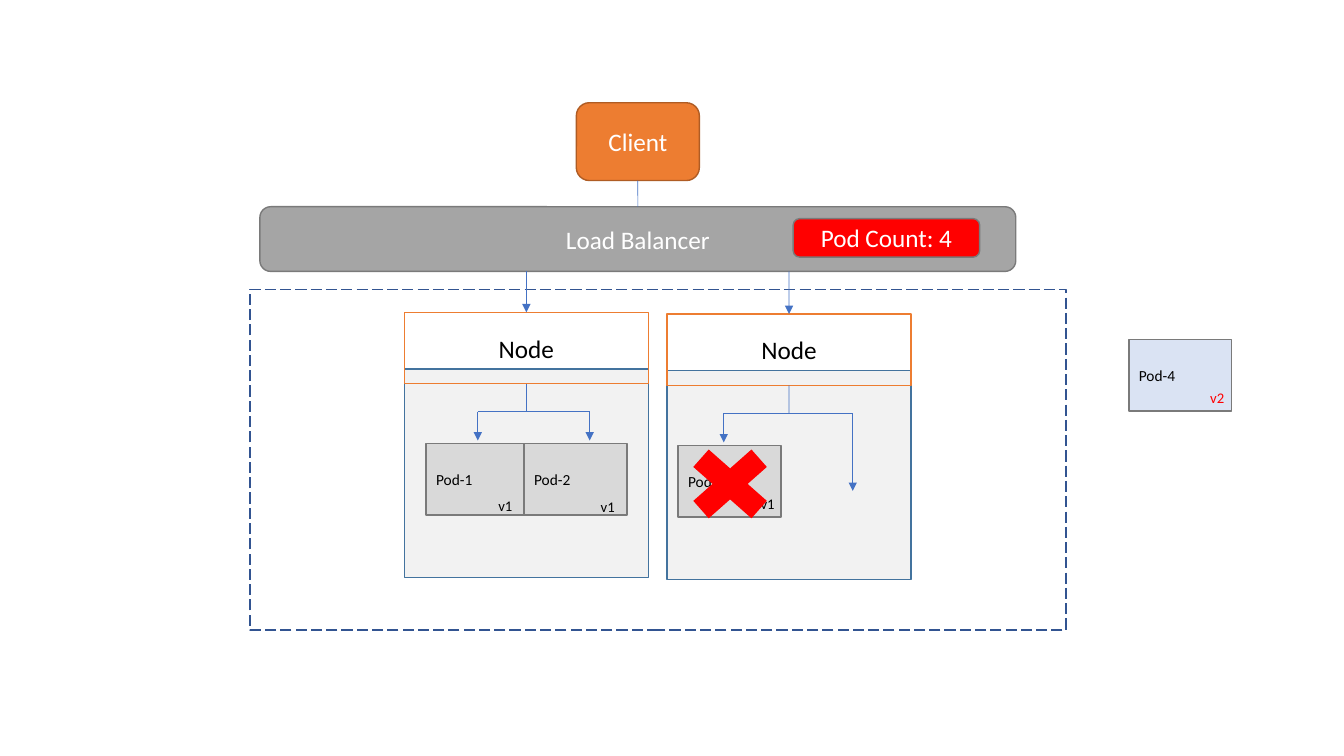
from lxml.etree import SubElement
from pptx import Presentation
from pptx.dml.color import RGBColor
from pptx.enum.dml import MSO_LINE
from pptx.enum.shapes import MSO_CONNECTOR, MSO_SHAPE as SHAPE
from pptx.enum.text import MSO_ANCHOR, PP_ALIGN as ALIGN
from pptx.oxml.ns import qn
from pptx.util import Cm, Pt

WHITE = RGBColor(0xFF, 0xFF, 0xFF)
BLACK = RGBColor(0, 0, 0)
RED = RGBColor(0xFF, 0, 0)
ORANGE = RGBColor(0xED, 0x7D, 0x31)
DARK_ORANGE = RGBColor(0xAF, 0x5C, 0x24)
GRAY = RGBColor(0xA5, 0xA5, 0xA5)
DARK_GRAY = RGBColor(0x7A, 0x7A, 0x7A)
POD_GRAY = RGBColor(0xD9, 0xD9, 0xD9)
NODE_GRAY = RGBColor(0xF2, 0xF2, 0xF2)
NODE_BLUE = RGBColor(0x43, 0x73, 0x9E)
CLUSTER_BLUE = RGBColor(0x32, 0x54, 0x91)
ARROW_BLUE = RGBColor(0x44, 0x72, 0xC4)
PALE_BLUE = RGBColor(0xDA, 0xE3, 0xF3)

CLIENT = "Client"
BALANCER = "Load Balancer"
POD_COUNT = "Pod Count: 4"
NODES = [
    {"name": "Node", "at": (10.19, 7.87), "drops": [(12.04, 11.10), (14.86, 11.10)]},
    {"name": "Node", "at": (16.81, 7.91), "drops": [(18.24, 11.15), (21.49, 12.37)]},
]
PODS = [
    ("Pod-1", (10.74, 11.18), POD_GRAY, "v1", (1.57, 1.22), BLACK),
    ("Pod-2", (13.21, 11.18), POD_GRAY, "v1", (1.68, 1.24), BLACK),
    ("Pod-3", (17.09, 11.23), POD_GRAY, "v1", (1.83, 1.12), BLACK),
    ("Pod-4", (28.45, 8.56), PALE_BLUE, "v2", (1.80, 1.12), RED),
]

BAR_LEFT, BAR_TOP, BAR_WIDTH, BAR_HEIGHT = 6.55, 5.21, 19.05, 1.63
CLIENT_WIDTH, CLIENT_HEIGHT, CLIENT_TOP = 3.10, 1.96, 2.59
NODE_WIDTH, HEADER_HEIGHT = 6.15, 1.80
BODY_OFFSET, BODY_HEIGHT, BUS_OFFSET = 1.43, 5.26, 2.50
POD_WIDTH, POD_HEIGHT = 2.59, 1.80

deck = Presentation()
deck.slide_width, deck.slide_height = Cm(33.87), Cm(19.05)
page = deck.slides.add_slide(deck.slide_layouts[6])


def write(box, text, size, color, align):
    box.text_frame.word_wrap = True
    para = box.text_frame.paragraphs[0]
    para.text = text
    para.alignment = align
    span = para.runs[0]
    span.font.name = "Calibri"
    span.font.size = Pt(size)
    span.font.color.rgb = color


def add_box(kind, left, top, width, height, fill=None, line=None,
            text="", size=18, color=WHITE, align=ALIGN.CENTER):
    box = page.shapes.add_shape(kind, Cm(left), Cm(top), Cm(width), Cm(height))
    box.shadow.inherit = False
    if fill is None:
        box.fill.background()
    else:
        box.fill.solid()
        box.fill.fore_color.rgb = fill
    if line is None:
        box.line.fill.background()
    else:
        box.line.color.rgb = line
        box.line.width = Pt(1)
    if text:
        box.text_frame.vertical_anchor = MSO_ANCHOR.MIDDLE
        write(box, text, size, color, align)
    return box


def add_line(start, end, arrow=False, begin_box=None, end_box=None):
    line = page.shapes.add_connector(
        MSO_CONNECTOR.STRAIGHT, *(Cm(value) for value in (*start, *end)))
    if begin_box is not None:
        line.begin_connect(begin_box, 2)
    if end_box is not None:
        line.end_connect(end_box, 0)
    line.line.color.rgb = ARROW_BLUE
    line.line.width = Pt(0.5)
    if arrow:
        SubElement(line.line._get_or_add_ln(), qn("a:tailEnd"), type="triangle")
    SubElement(line._element.spPr, qn("a:effectLst"))


cluster = add_box(SHAPE.RECTANGLE, 6.30, 7.29, 20.57, 8.59, line=CLUSTER_BLUE)
cluster.line.dash_style = MSO_LINE.LONG_DASH

bar_middle = BAR_LEFT + BAR_WIDTH / 2
bar_bottom = BAR_TOP + BAR_HEIGHT
client = add_box(SHAPE.ROUNDED_RECTANGLE, bar_middle - CLIENT_WIDTH / 2, CLIENT_TOP,
                 CLIENT_WIDTH, CLIENT_HEIGHT, ORANGE, DARK_ORANGE, CLIENT)
balancer = add_box(SHAPE.ROUNDED_RECTANGLE, BAR_LEFT, BAR_TOP, BAR_WIDTH, BAR_HEIGHT,
                   GRAY, DARK_GRAY, BALANCER)
add_line((bar_middle, CLIENT_TOP + CLIENT_HEIGHT), (bar_middle, BAR_TOP),
         begin_box=client, end_box=balancer)
add_box(SHAPE.ROUNDED_RECTANGLE, 19.99, 5.51, 4.70, 0.97, RED, DARK_GRAY, POD_COUNT)

for node in NODES:
    left, top = node["at"]
    middle, bus = left + NODE_WIDTH / 2, top + BUS_OFFSET
    add_box(SHAPE.RECTANGLE, left, top + BODY_OFFSET, NODE_WIDTH, BODY_HEIGHT,
            NODE_GRAY, NODE_BLUE)
    header = add_box(SHAPE.RECTANGLE, left, top, NODE_WIDTH, HEADER_HEIGHT,
                     line=ORANGE, text=node["name"], color=BLACK)
    add_line((middle, bar_bottom), (middle, top), arrow=True, end_box=header)
    add_line((middle, top + HEADER_HEIGHT), (middle, bus), begin_box=header)
    add_line((node["drops"][0][0], bus), (node["drops"][-1][0], bus))
    for x, tip in node["drops"]:
        add_line((x, bus), (x, tip), arrow=True)

for name, (left, top), fill, version, (dx, dy), color in PODS:
    add_box(SHAPE.RECTANGLE, left, top, POD_WIDTH, POD_HEIGHT, fill, DARK_GRAY,
            name, 11, BLACK, ALIGN.LEFT)
    label = page.shapes.add_textbox(Cm(left + dx), Cm(top + dy), Cm(1.40), Cm(0.71))
    write(label, version, 10.5, color, ALIGN.LEFT)

add_box(SHAPE.MATH_MULTIPLY, 16.99, 10.95, 2.82, 2.49, RED)

deck.save("out.pptx")
